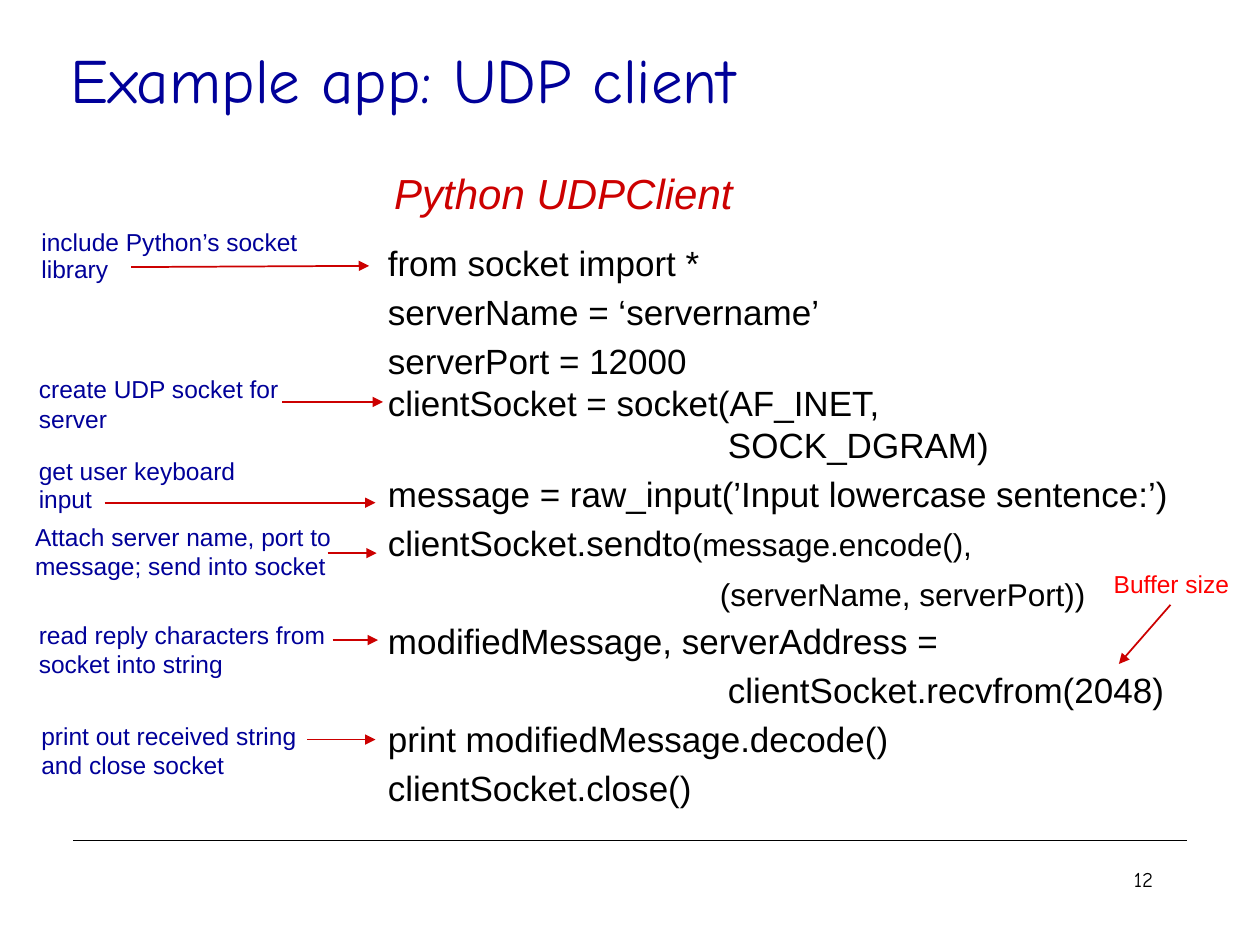
from lxml import etree
from pptx import Presentation
from pptx.dml.color import RGBColor
from pptx.enum.shapes import MSO_CONNECTOR
from pptx.enum.text import MSO_ANCHOR, MSO_AUTO_SIZE, PP_ALIGN
from pptx.oxml.ns import qn
from pptx.util import Inches, Pt

LINE = MSO_CONNECTOR.STRAIGHT
MIDDLE = MSO_ANCHOR.MIDDLE
FIXED = MSO_AUTO_SIZE.NONE
LEFT, RIGHT = PP_ALIGN.LEFT, PP_ALIGN.RIGHT

NAVY = RGBColor(0x00, 0x00, 0x99)
CRIMSON = RGBColor(0xCC, 0x00, 0x00)
RED = RGBColor(0xFF, 0x00, 0x00)
BLACK = RGBColor(0x00, 0x00, 0x00)

TITLE = {"name": "Comic Neue", "size": Pt(36)}
HEAD = {"name": "Arial", "size": Pt(24), "italic": True}
NOTE = {"name": "Arial", "size": Pt(14)}
CODE = {"name": "Arial", "size": Pt(20)}
PAGE = {"name": "Comic Neue", "size": Pt(12)}


def write(shape, lines, style, color, wrap=True, pitch=None, align=LEFT):
    """Fill a shape with one paragraph per line; pitch is line spacing in points."""
    frame = shape.text_frame
    frame.auto_size = FIXED
    frame.word_wrap = wrap
    frame.text = "\n".join(lines)
    for para in frame.paragraphs:
        para.alignment = align
        if pitch:
            para.line_spacing = Pt(pitch)
        for run in para.runs:
            for key, value in style.items():
                setattr(run.font, key, value)
            run.font.color.rgb = color


def draw_line(start, end, color, width, arrow=True):
    line = slide.shapes.add_connector(LINE, *map(Inches, start + end))
    line.line.color.rgb = color
    line.line.width = Pt(width)
    if arrow:
        etree.SubElement(line.line._get_or_add_ln(), qn("a:tailEnd"), type="triangle")
    etree.SubElement(line._element.spPr, qn("a:effectLst"))


deck = Presentation()
deck.slide_width, deck.slide_height = Inches(10), Inches(7.5)
slide = deck.slides.add_slide(deck.slide_layouts[5])
shapes = slide.shapes

draw_line((0.58, 6.67), (9.42, 6.67), BLACK, 0.75, arrow=False)

title = shapes.title
title.left, title.top = Inches(0.46), Inches(0.1)
title.width, title.height = Inches(8.5), Inches(1.04)
write(title, ["Example app: UDP client"], TITLE, NAVY)
title.text_frame.vertical_anchor = MIDDLE

head = shapes.add_textbox(Inches(3.03), Inches(1.28), Inches(2.88), Inches(0.5))
write(head, ["Python UDPClient"], HEAD, CRIMSON, wrap=False)

# Each note: box, lines, colour, wrap, line pitch, arrow start, arrow end
notes = [
    ((0.23, 1.76, 2.29, 0.55), ["include Python’s socket", "library"],
     NAVY, False, 16, (1.04, 2.12), (2.93, 2.11)),
    ((0.21, 2.92, 2.48, 0.57), ["create UDP socket for server"],
     NAVY, True, None, (2.24, 3.19), (3.04, 3.19)),
    ((0.21, 3.58, 1.76, 0.55), ["get user keyboard", "input"],
     NAVY, False, 16, (0.83, 3.99), (2.98, 3.99)),
    ((0.18, 4.09, 2.57, 0.57), ["Attach server name, port to message; send into socket"],
     NAVY, True, None, (2.6, 4.39), (2.99, 4.39)),
    ((0.21, 4.87, 2.57, 0.57), ["read reply characters from", "socket into string"],
     NAVY, True, None, (2.64, 5.08), (3, 5.08)),
    ((0.23, 5.67, 2.57, 0.57), ["print out received string and close socket"],
     NAVY, True, None, (2.44, 5.87), (2.98, 5.87)),
    ((8.74, 4.48, 1.12, 0.32), ["Buffer size"],
     RED, False, 16, (9.29, 4.8), (8.88, 5.27)),
]
for box, lines, color, wrap, pitch, start, end in notes:
    note = shapes.add_textbox(*map(Inches, box))
    write(note, lines, NOTE, color, wrap, pitch)
    draw_line(start, end, CRIMSON, 1)

code = shapes.add_textbox(Inches(2.98), Inches(1.81), Inches(6.39), Inches(4.65))
write(code, [
    "from socket import *",
    "serverName = ‘servername’",
    "serverPort = 12000",
    "clientSocket = socket(AF_INET,",
    "                                   SOCK_DGRAM)",
    "message = raw_input(’Input lowercase sentence:’)",
    "clientSocket.sendto",
    "                                      (serverName, serverPort))",
    "modifiedMessage, serverAddress =",
    "                                   clientSocket.recvfrom(2048)",
    "print modifiedMessage.decode()",
    "clientSocket.close()",
], CODE, BLACK, wrap=False, pitch=28)
paras = code.text_frame.paragraphs
for para in paras[3:5]:
    para.line_spacing = Pt(24)
args = paras[6].add_run()
args.text = "(message.encode(),"
args.font.name = "Arial"
args.font.color.rgb = BLACK
for run in (args, paras[7].runs[0]):
    run.font.size = Pt(18)

page = shapes.add_textbox(Inches(7.17), Inches(6.83), Inches(2.08), Inches(0.5))
write(page, ["12"], PAGE, BLACK, align=RIGHT)

deck.save("out.pptx")
